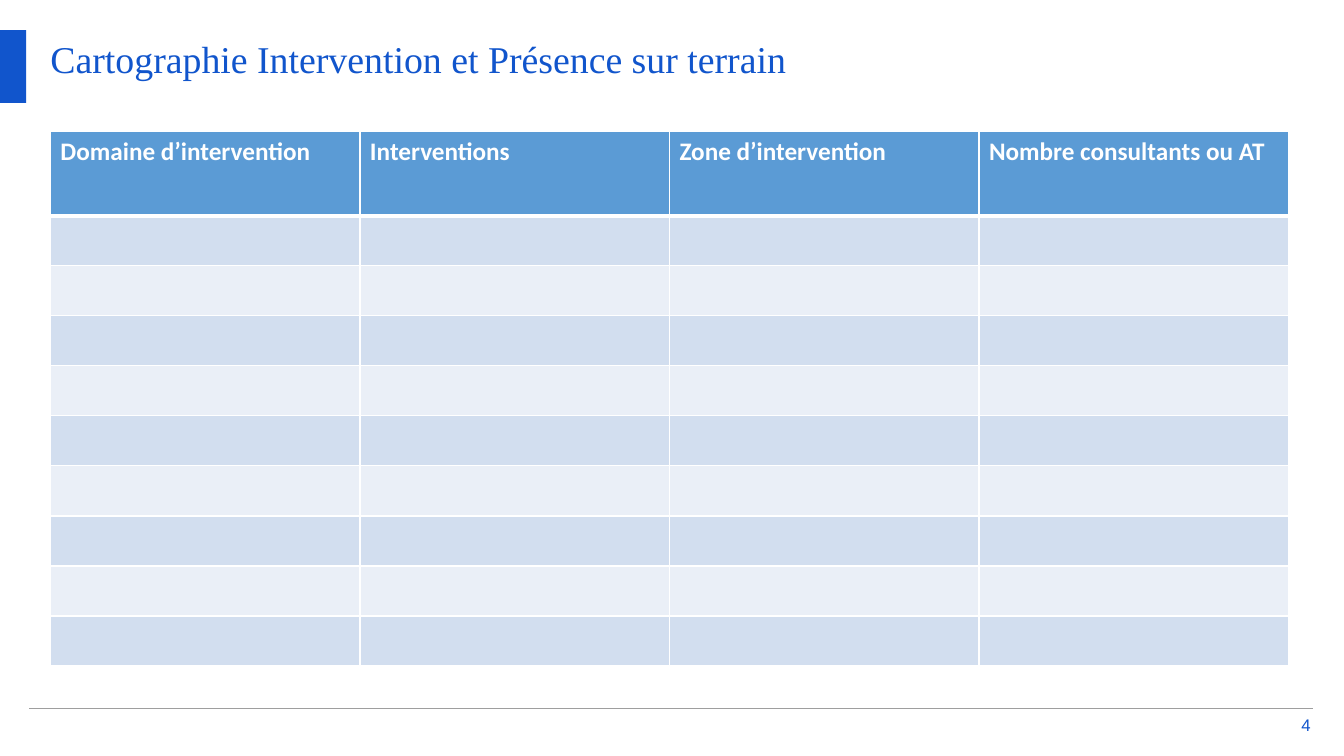
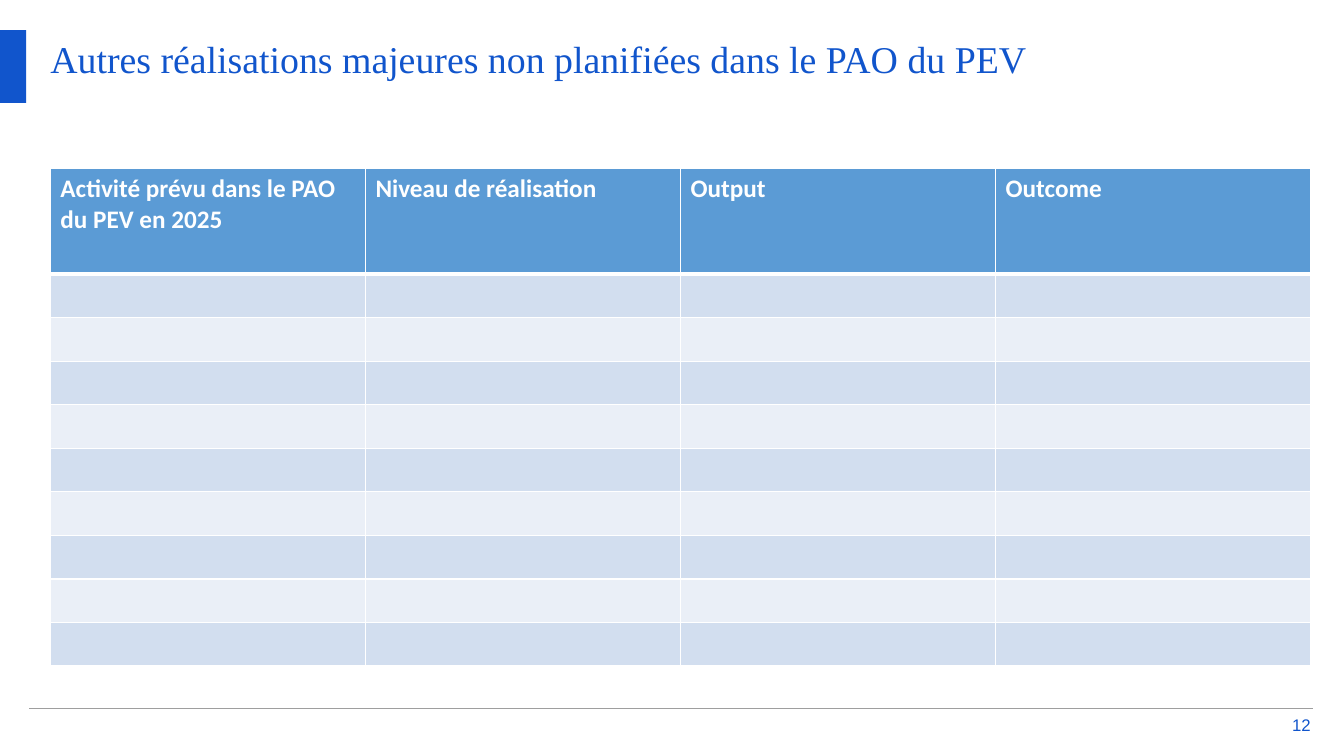
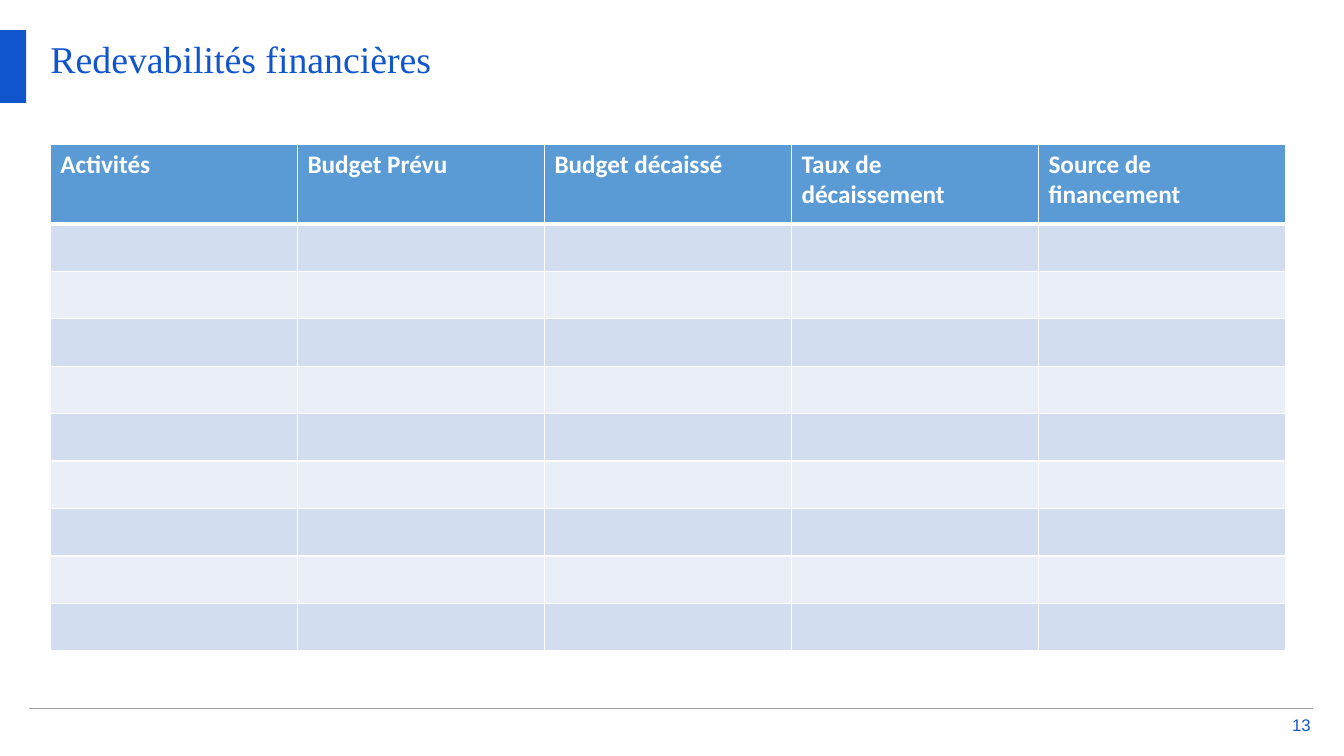
from lxml import etree
from pptx import Presentation
from pptx.dml.color import RGBColor
from pptx.enum.shapes import MSO_CONNECTOR, MSO_SHAPE
from pptx.enum.text import MSO_ANCHOR, MSO_AUTO_SIZE, PP_ALIGN
from pptx.oxml import parse_xml
from pptx.oxml.ns import nsdecls, qn
from pptx.util import Inches, Pt

BLUE = RGBColor(0x11, 0x55, 0xCC)
GREY = RGBColor(0x9E, 0x9E, 0x9E)
WHITE = RGBColor(0xFF, 0xFF, 0xFF)
HEADER = RGBColor(0x5B, 0x9B, 0xD5)
BANDS = [RGBColor(0xEA, 0xEF, 0xF7), RGBColor(0xD2, 0xDE, 0xEF)]

TITLE_FONT = {"name": "Times New Roman", "size": Pt(27), "bold": False}
NUMBER_FONT = {"name": "Arial", "size": Pt(12), "bold": False}
HEADER_FONT = {"name": "Calibri", "size": Pt(18), "bold": True}
FRAME = {"margin_left": 0, "margin_top": 0, "margin_right": 0, "margin_bottom": 0,
         "word_wrap": True, "auto_size": MSO_AUTO_SIZE.NONE}
BODY_ROWS = 9

SLIDES = [
    {"title": "Cartographie Intervention et Présence sur terrain", "number": "4",
     "top": 1.3, "width": 12.28, "header_h": 0.84, "height": 5.31,
     "columns": ["Domaine d’intervention", "Interventions", "Zone d’intervention",
                 "Nombre consultants ou AT"]},
    {"title": "Autres réalisations majeures non planifiées dans le PAO du PEV", "number": "12",
     "top": 1.67, "width": 12.5, "header_h": 1.05, "height": 4.94,
     "columns": ["Activité prévu dans le PAO du PEV en 2025", "Niveau de réalisation",
                 "Output", "Outcome"]},
    {"title": "Redevabilités financières", "number": "13",
     "top": 1.43, "width": 12.25, "header_h": 0.79, "height": 5.03,
     "columns": ["Activités", "Budget Prévu", "Budget décaissé", "Taux de décaissement",
                 "Source de financement"]},
]


def write(tf, text, font, color, align=PP_ALIGN.LEFT):
    p = tf.paragraphs[0]
    p.alignment = align
    r = p.add_run()
    r.text = text
    for key, value in font.items():
        setattr(r.font, key, value)
    r.font.color.rgb = color


def set_borders(cell, widths):
    tcPr = cell._tc.get_or_add_tcPr()
    for side, width in widths.items():
        tcPr.append(parse_xml(
            f'<a:ln{side} {nsdecls("a")} w="{Pt(width)}"><a:solidFill>'
            f'<a:srgbClr val="{WHITE}"/></a:solidFill></a:ln{side}>'))


prs = Presentation()
prs.slide_width = Inches(13.33)
prs.slide_height = Inches(7.5)

for content in SLIDES:
    s = prs.slides.add_slide(prs.slide_layouts[5])

    title = s.shapes.title
    title.left, title.top = Inches(0.5), Inches(0.35)
    title.width, title.height = Inches(12.33), Inches(0.8)
    number = s.shapes.add_textbox(Inches(12.75), Inches(7.1), Inches(0.25), Inches(0.18))
    for sp, anchor in ((title, MSO_ANCHOR.TOP), (number, MSO_ANCHOR.MIDDLE)):
        for key, value in FRAME.items():
            setattr(sp.text_frame, key, value)
        sp.text_frame.vertical_anchor = anchor
    write(title.text_frame, content["title"], TITLE_FONT, BLUE)
    write(number.text_frame, content["number"], NUMBER_FONT, BLUE, PP_ALIGN.RIGHT)

    bar = s.shapes.add_shape(MSO_SHAPE.RECTANGLE, 0, Inches(0.3), Inches(0.26), Inches(0.72))
    bar.shadow.inherit = False
    bar.fill.solid()
    bar.fill.fore_color.rgb = BLUE
    bar.line.fill.background()

    rule = s.shapes.add_connector(MSO_CONNECTOR.STRAIGHT, Inches(0.29), Inches(7.03),
                                  Inches(13.02), Inches(7.03))
    rule.line.color.rgb = GREY
    rule.line.width = Pt(1)
    etree.SubElement(rule._element.spPr, qn("a:effectLst"))

    columns = content["columns"]
    table = s.shapes.add_table(BODY_ROWS + 1, len(columns), Inches(0.5), Inches(content["top"]),
                               Inches(content["width"]), Inches(content["height"])).table
    for col in table.columns:
        col.width = Inches(content["width"] / len(columns))
    body_h = (content["height"] - content["header_h"]) / BODY_ROWS
    for i, row in enumerate(table.rows):
        row.height = Inches(body_h if i else content["header_h"])
        for j, cell in enumerate(row.cells):
            set_borders(cell, {"L": 1, "R": 1, "T": 3 if i == 1 else 1, "B": 1 if i else 3})
            cell.fill.solid()
            cell.fill.fore_color.rgb = BANDS[i % 2] if i else HEADER
            if i == 0:
                write(cell.text_frame, columns[j], HEADER_FONT, WHITE)

prs.save("out.pptx")
